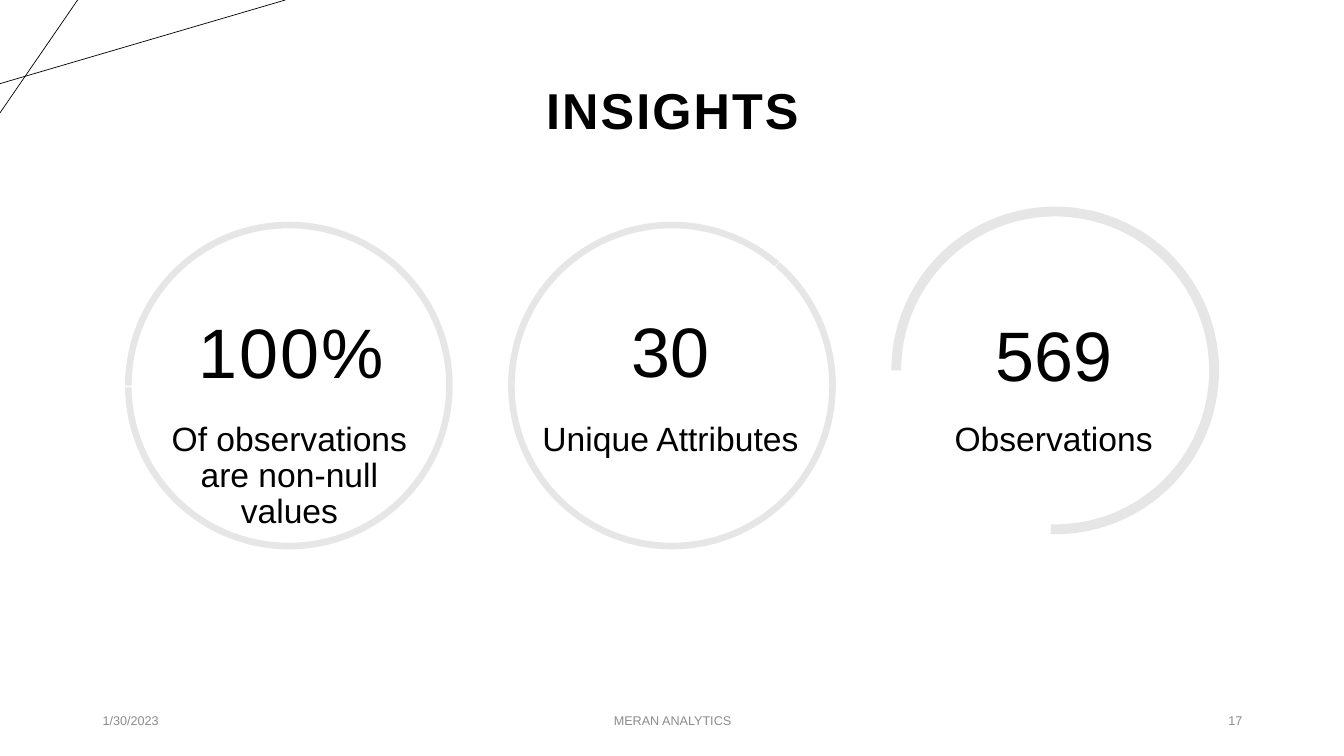
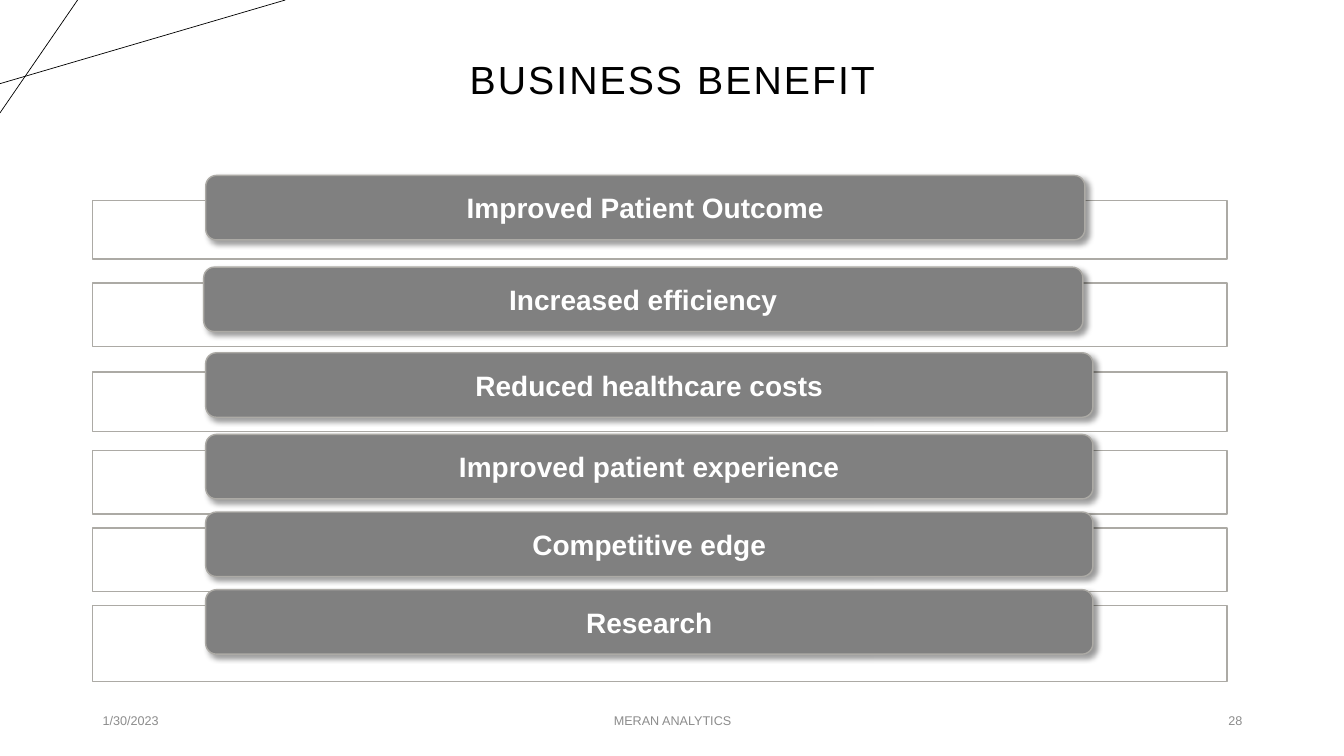
import dataclasses

import lxml.etree
import pptx
import pptx.dml.color
import pptx.enum.shapes
import pptx.enum.text
import pptx.oxml.ns
import pptx.util

ALIGN = pptx.enum.text.PP_ALIGN
ANCHOR = pptx.enum.text.MSO_ANCHOR
SHAPE = pptx.enum.shapes.MSO_SHAPE


@dataclasses.dataclass(frozen=True)
class Theme:
    font: str = "Arial"
    ink: str = "000000"
    paper: str = "FFFFFF"
    muted: str = "8C8C8C"
    ring: str = "E7E6E6"
    bar: str = "808080"
    border: str = "ACAAA5"
    number_size: int = 50
    label_size: int = 24
    bar_size: int = 20
    footer_size: int = 9
    tracking: float = 1.5
    tight: float = 0.9


THEME = Theme()
PX = 9144  # 100 px to the inch
SLIDE_SIZE = (1333, 750)

CORNER_LINES = [((0, 83), (283, 0)), ((77, 0), (0, 112))]
FOOTER_TOP, FOOTER_HEIGHT = 695, 40
FOOTER_DATE, FOOTER_NAME = "1/30/2023", "MERAN ANALYTICS"

INSIGHTS = {
    "title": "INSIGHTS", "title_box": (92, 40, 1150, 145),
    "title_size": 36, "title_bold": True, "number": "17",
}
BENEFITS = {
    "title": "BUSINESS BENEFIT", "title_box": (92, 38, 1150, 86),
    "title_size": 28, "title_bold": False, "number": "28",
}

RING_LEFT, RING_STEP, RING_SIZE = 124, 380, 325
FIGURE_WIDTH, FIGURE_HEIGHT, FIGURE_INSET = 294, 118, 13
LABEL_TOP = 406
# ring top, arc start and end in degrees, thickness, figure left and top,
# figure, tracking, label left, label height, label
FIGURES = [
    (220, 180, 179.35, 0.02, 142, 285, "100%", THEME.tracking,
     140, 146, "Of observations are non-null values"),
    (220, 311.15, 310.86, 0.02, 518, 284, "30", 0,
     518, 92, "Unique Attributes"),
    (205, 180, 91.55, 0.03, 898, 288, "569", 0,
     898, 92, "Observations"),
]

PANEL_LEFT, PANEL_WIDTH, BAR_HEIGHT = 92, 1125, 64
# panel top and height, bar left, top and width, text
BARS = [
    (199, 58, 204, 174, 872, "Improved Patient Outcome"),
    (281, 63, 202, 265, 872, "Increased efficiency"),
    (369, 59, 204, 350, 880, "Reduced healthcare costs"),
    (447, 63, 204, 431, 880, "Improved patient experience"),
    (524, 63, 204, 508, 880, "Competitive edge"),
    (601, 75, 204, 585, 880, "Research"),
]


def emu(*lengths):
    return [pptx.util.Emu(length * PX) for length in lengths]


def rgb(color):
    return pptx.dml.color.RGBColor.from_string(color)


def write(frame, text, size, color, align=ALIGN.CENTER, anchor=ANCHOR.MIDDLE,
          bold=False, tracking=0, spacing=None):
    frame.word_wrap = True
    frame.auto_size = pptx.enum.text.MSO_AUTO_SIZE.NONE
    frame.vertical_anchor = anchor
    para = frame.paragraphs[0]
    para.alignment = align
    para.line_spacing = spacing
    span = para.add_run()
    span.text = text
    span.font.name = THEME.font
    span.font.size = pptx.util.Pt(size)
    span.font.bold = bold
    span.font.color.rgb = rgb(color)
    if tracking:
        span.font.element.set("spc", str(int(tracking * 100))) if hasattr(
            span.font, "element") else span._r.get_or_add_rPr().set(
            "spc", str(int(tracking * 100)))


def add_text(slide, box, text, size, color, inset=None, **style):
    frame = slide.shapes.add_textbox(*emu(*box)).text_frame
    if inset is not None:
        frame.margin_left = frame.margin_right = emu(inset)[0]
        frame.margin_top = frame.margin_bottom = emu(inset)[0]
    write(frame, text, size, color, **style)


def add_shape(slide, kind, box, fill, border=None):
    shape = slide.shapes.add_shape(kind, *emu(*box))
    shape.shadow.inherit = False
    shape.fill.solid()
    shape.fill.fore_color.rgb = rgb(fill)
    if border:
        shape.line.color.rgb = rgb(border)
        shape.line.width = pptx.util.Pt(1)
    else:
        shape.line.fill.background()
    return shape


def add_shadow(shape):
    qn = pptx.oxml.ns.qn
    effects = shape.element.spPr.find(qn("a:effectLst"))
    shadow = lxml.etree.SubElement(
        effects, qn("a:outerShdw"), blurRad=str(pptx.util.Pt(4)),
        dist=str(pptx.util.Pt(3)), dir=str(45 * 60000), rotWithShape="0")
    color = lxml.etree.SubElement(shadow, qn("a:srgbClr"), val=THEME.ink)
    lxml.etree.SubElement(color, qn("a:alpha"), val="40000")


def add_page(deck, content):
    """Add a slide with the corner lines, title and footer that all share."""
    slide = deck.slides.add_slide(deck.slide_layouts[5])
    for start, end in CORNER_LINES:
        line = slide.shapes.add_connector(
            pptx.enum.shapes.MSO_CONNECTOR.STRAIGHT, *emu(*start, *end))
        line.line.color.rgb = rgb(THEME.ink)
        line.line.width = pptx.util.Pt(0.5)
        lxml.etree.SubElement(line.element.spPr,
                              pptx.oxml.ns.qn("a:effectLst"))

    title = slide.shapes.title
    title.left, title.top, title.width, title.height = emu(
        *content["title_box"])
    write(title.text_frame, content["title"], content["title_size"],
          THEME.ink, bold=content["title_bold"], tracking=THEME.tracking,
          spacing=THEME.tight)

    for left, width, text, align in [
            (92, 300, FOOTER_DATE, ALIGN.LEFT),
            (442, 450, FOOTER_NAME, ALIGN.CENTER),
            (942, 300, content["number"], ALIGN.RIGHT)]:
        add_text(slide, (left, FOOTER_TOP, width, FOOTER_HEIGHT), text,
                 THEME.footer_size, THEME.muted, align=align)
    return slide


def build_insights(deck):
    slide = add_page(deck, INSIGHTS)
    for index, (ring_top, start, end, thickness, left, top, figure, tracking,
                label_left, label_height, label) in enumerate(FIGURES):
        ring = add_shape(slide, SHAPE.BLOCK_ARC,
                         (RING_LEFT + index * RING_STEP, ring_top,
                          RING_SIZE, RING_SIZE), THEME.ring)
        # Angles are stored in 60000ths of a degree, scaled by 100000.
        for place, value in enumerate((start * 0.6, end * 0.6, thickness)):
            ring.adjustments[place] = value
        add_text(slide, (left, top, FIGURE_WIDTH, FIGURE_HEIGHT), figure,
                 THEME.number_size, THEME.ink, FIGURE_INSET,
                 anchor=ANCHOR.BOTTOM, tracking=tracking,
                 spacing=THEME.tight)
        add_text(slide, (label_left, LABEL_TOP, FIGURE_WIDTH, label_height),
                 label, THEME.label_size, THEME.ink, FIGURE_INSET,
                 anchor=ANCHOR.TOP, spacing=THEME.tight)


def build_benefits(deck):
    slide = add_page(deck, BENEFITS)
    for panel_top, panel_height, left, top, width, text in BARS:
        add_shape(slide, SHAPE.RECTANGLE,
                  (PANEL_LEFT, panel_top, PANEL_WIDTH, panel_height),
                  THEME.paper, THEME.border)
        bar = add_shape(slide, SHAPE.ROUNDED_RECTANGLE,
                        (left, top, width, BAR_HEIGHT),
                        THEME.bar, THEME.border)
        add_shadow(bar)
        write(bar.text_frame, text, THEME.bar_size, THEME.paper, bold=True)


def main():
    deck = pptx.Presentation()
    deck.slide_width, deck.slide_height = emu(*SLIDE_SIZE)
    build_insights(deck)
    build_benefits(deck)
    deck.save("out.pptx")


if __name__ == "__main__":
    main()
